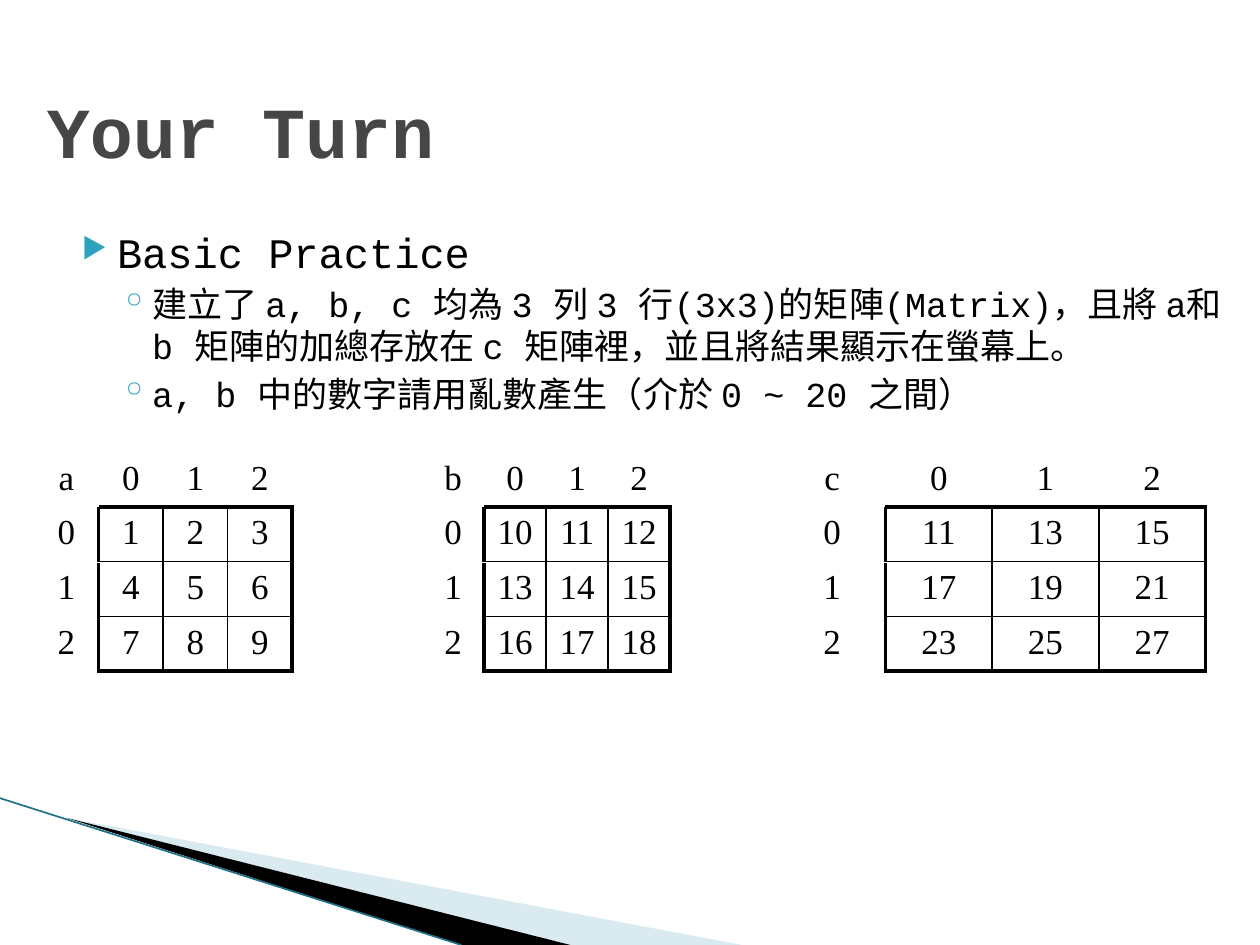
from lxml.etree import SubElement
from pptx import Presentation
from pptx.dml.color import RGBColor
from pptx.enum.shapes import MSO_CONNECTOR as Connector
from pptx.enum.text import MSO_ANCHOR as Anchor, PP_ALIGN as Align
from pptx.oxml import parse_xml
from pptx.oxml.ns import nsdecls, qn
from pptx.util import Cm, Pt

CODE_FONT = "Courier New"
TABLE_FONT = "Times New Roman"
BLACK, WHITE, ACCENT = "000000", "FFFFFF", "2DA2BF"


def color(value):
    """Turn a hex string into a colour."""
    return RGBColor.from_string(value)


def write(paragraph, text, size=20, font=CODE_FONT, fill=BLACK, bold=False, align=Align.LEFT, before=0):
    """Write formatted text into a paragraph."""
    paragraph.alignment = align
    paragraph.space_before = Pt(before)
    run = paragraph.add_run()
    run.text = text
    run.font.size = Pt(size)
    run.font.name = font
    run.font.bold = bold
    run.font.color.rgb = color(fill)


def add_bullet(paragraph, symbol, indent, hanging, percent=100):
    """Give a paragraph a coloured bullet and a hanging indent."""
    properties = paragraph._p.get_or_add_pPr()
    properties.set("marL", str(Cm(indent)))
    properties.set("indent", str(-Cm(hanging)))
    bullet_color = SubElement(properties, qn("a:buClr"))
    SubElement(bullet_color, qn("a:srgbClr"), val=ACCENT)
    SubElement(properties, qn("a:buSzPct"), val=str(percent * 1000))
    SubElement(properties, qn("a:buChar"), char=symbol)


def place_title(slide, box, text):
    """Move and format the title placeholder."""
    title = slide.shapes.title
    title.left, title.top, title.width, title.height = map(Cm, box)
    title.text_frame.vertical_anchor = Anchor.MIDDLE
    write(title.text_frame.paragraphs[0], text, size=41, fill="464646", bold=True)


def add_task(slide, box, heading, steps):
    """Add the task heading with its bulleted steps."""
    frame = slide.shapes.add_textbox(*map(Cm, box)).text_frame
    frame.word_wrap = True
    paragraph = frame.paragraphs[0]
    add_bullet(paragraph, "▶", 1.02, 0.71, percent=68)
    write(paragraph, heading, size=24)
    for step in steps:
        paragraph = frame.add_paragraph()
        add_bullet(paragraph, "◦", 1.73, 0.64)
        write(paragraph, step, before=3.2)


def edge_style(line, lane):
    """Return the colour and width of a grid line, white around the headers."""
    if line == 0 or lane == 0:
        return WHITE, 0.25
    return BLACK, 2.25 if line in (1, 4) else 1


def set_borders(cell, row, column):
    """Draw the four borders of a matrix cell."""
    edges = {
        "lnL": edge_style(column, row),
        "lnR": edge_style(column + 1, row),
        "lnT": edge_style(row, column),
        "lnB": edge_style(row + 1, column),
    }
    properties = cell._tc.get_or_add_tcPr()
    for position, (tag, (stroke, width)) in enumerate(edges.items()):
        properties.insert(position, parse_xml(
            f'<a:{tag} {nsdecls("a")} w="{Pt(width)}"><a:solidFill>'
            f'<a:srgbClr val="{stroke}"/></a:solidFill></a:{tag}>'))


def add_matrix(slide, box, name, values, row_heights):
    """Add a matrix with its name and its row and column indices."""
    indices = range(len(values))
    rows = [[name, *indices]] + [[index, *values[index]] for index in indices]
    size = len(rows)
    table = slide.shapes.add_table(size, size, *map(Cm, box)).table
    table.first_row = table.horz_banding = False
    for column in table.columns:
        column.width = Cm(box[2] / size)
    for row, contents in enumerate(rows):
        table.rows[row].height = Cm(row_heights[row])
        for column, content in enumerate(contents):
            cell = table.cell(row, column)
            cell.fill.background()
            set_borders(cell, row, column)
            write(cell.text_frame.paragraphs[0], str(content), font=TABLE_FONT, align=Align.CENTER)


def add_wedge(slide, points, fill, opacity=100):
    """Add a filled wedge through the given points."""
    start, *others = [(Cm(x), Cm(y)) for x, y in points]
    builder = slide.shapes.build_freeform(*start)
    builder.add_line_segments(others, close=True)
    shape = builder.convert_to_shape()
    shape.shadow.inherit = False
    shape.fill.solid()
    shape.fill.fore_color.rgb = color(fill)
    shape.line.fill.background()
    fill_color = shape._element.spPr.find(qn("a:solidFill"))[0]
    SubElement(fill_color, qn("a:alpha"), val=str(opacity * 1000))


def add_corner(slide, box):
    """Add the wedges and the line in the bottom corner."""
    left, top, width, height = box
    right, bottom = left + width, top + height
    tip = (left + 1.35, top + 0.4)
    add_wedge(slide, [tip, (right, bottom), (left + 11.5, bottom)], "A0CBDC", opacity=40)
    add_wedge(slide, [tip, (left + 11.5, bottom), (left + 9.3, bottom)], BLACK)
    line = slide.shapes.add_connector(
        Connector.STRAIGHT, Cm(left), Cm(top), Cm(left + 9.3), Cm(bottom))
    line.line.color.rgb = color("1F7088")
    line.line.width = Pt(0.95)
    SubElement(line._element.spPr, qn("a:effectLst"))


def main():
    """Build and save the slide."""
    presentation = Presentation()
    presentation.slide_width, presentation.slide_height = Cm(25.4), Cm(19.05)
    slide = presentation.slides.add_slide(presentation.slide_layouts[5])
    add_corner(slide, (0, 16.09, 14.96, 2.96))
    place_title(slide, (0.69, 1.32, 24.08, 2.59), "Your Turn")
    add_task(slide, (1.09, 4.45, 23.8, 4.3), "Basic Practice", [
        "建立了 a, b, c 均為 3 列 3 行(3x3)的矩陣(Matrix)，且將 a和 b 矩陣的加總存放在 c 矩陣裡，並且將結果顯示在螢幕上。",
        "a, b 中的數字請用亂數產生（介於 0 ~ 20 之間）",
    ])
    first = [[1, 2, 3], [4, 5, 6], [7, 8, 9]]
    second = [[10, 11, 12], [13, 14, 15], [16, 17, 18]]
    total = [[a + b for a, b in zip(*pair)] for pair in zip(first, second)]
    add_matrix(slide, (0.69, 9.12, 5.2, 4.2), "a", first, [1.05] * 4)
    add_matrix(slide, (8.51, 9.12, 5, 4.4), "b", second, [1.1] * 4)
    add_matrix(slide, (15.7, 9.12, 8.6, 4.25), "c", total, [1.05, 1.1, 1.05, 1.05])
    presentation.save("out.pptx")


if __name__ == "__main__":
    main()
